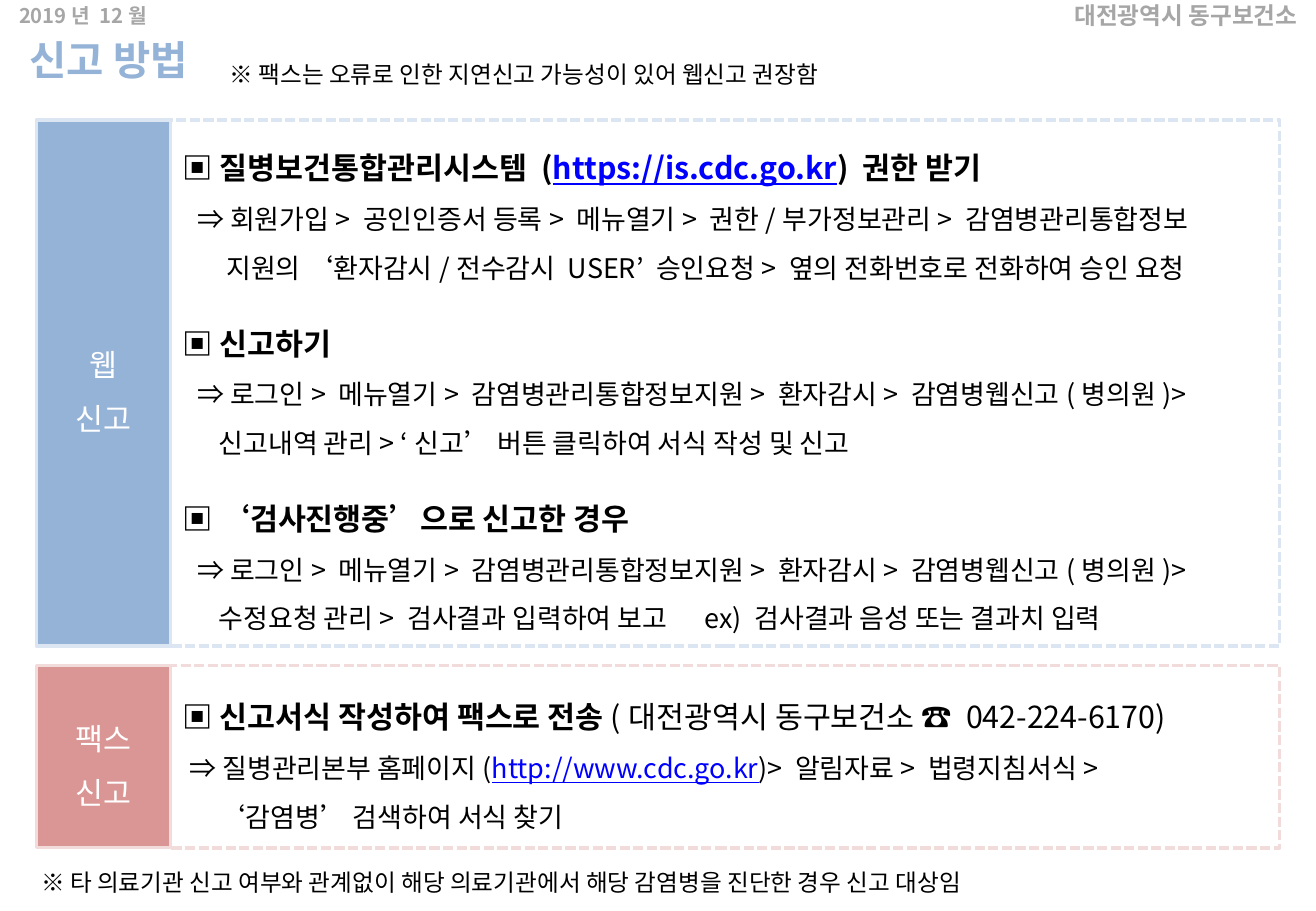
from lxml.etree import SubElement
from pptx import Presentation
from pptx.dml.color import RGBColor
from pptx.enum.dml import MSO_LINE
from pptx.enum.shapes import MSO_SHAPE
from pptx.enum.text import MSO_ANCHOR, MSO_AUTO_SIZE, PP_ALIGN
from pptx.oxml.ns import qn
from pptx.util import Cm, Pt

FONT = "Noto Sans CJK KR"
BLACK, GRAY, WHITE, LINK = "000000", "A6A6A6", "FFFFFF", "0000FF"
BLUE, PALE_BLUE, RED, PALE_RED = "95B3D7", "DCE6F2", "D99694", "F2DCDB"

LOGIN = "⇒ 로그인> 메뉴열기> 감염병관리통합정보지원> 환자감시> 감염병웹신고(병의원)>"
WEB_LINES = [
    ("head", 0, [("▣ 질병보건통합관리시스템 (", ""), ("https://is.cdc.go.kr", "link"),
                 (") 권한 받기", "")]),
    ("step", 0.31, [("⇒ 회원가입> 공인인증서 등록> 메뉴열기> 권한/부가정보관리> "
                     "감염병관리통합정보", "")]),
    ("step", 0.92, [("지원의 ‘환자감시/전수감시 USER’ 승인요청> "
                     "옆의 전화번호로 전화하여 승인 요청", "")]),
    ("head", 0, [("▣ 신고하기", "")]),
    ("step", 0.31, [(LOGIN, "")]),
    ("step", 0.76, [("신고내역 관리> ‘신고’ 버튼 클릭하여 서식 작성 및 신고", "")]),
    ("head", 0, [("▣ ‘검사진행중’으로 신고한 경우", "")]),
    ("step", 0.31, [(LOGIN, "")]),
    ("step", 0.76, [("수정요청 관리> 검사결과 입력하여 보고\tex) 검사결과 음성 또는 결과치 입력", "")]),
]
FAX_LINES = [
    ("head", 0, [("▣ 신고서식 작성하여 팩스로 전송", ""),
                 ("(대전광역시 동구보건소 ☎ 042-224-6170)", "plain")]),
    ("step", 0.15, [("⇒ 질병관리본부 홈페이지(", ""), ("http://www.cdc.go.kr", "link"),
                    (")> 알림자료> 법령지침서식>", "")]),
    ("step", 0.76, [("‘감염병’ 검색하여 서식 찾기", "")]),
]


def color(value):
    """Turn a hex string into a colour."""
    return RGBColor.from_string(value)


def place(shape, box):
    """Move a shape to a box of left, top, width and height in centimetres."""
    shape.left, shape.top, shape.width, shape.height = [Cm(length) for length in box]


def format_para(para, size, hex_color, bold=False, align=PP_ALIGN.LEFT, pitch=None):
    """Format a whole paragraph."""
    para.alignment = align
    para.space_before = para.space_after = Pt(0)
    if pitch:
        para.line_spacing = Pt(pitch)
    font = para.font
    font.name, font.size, font.bold = FONT, Pt(size), bold
    font.color.rgb = color(hex_color)
    SubElement(font._element, qn("a:ea"), typeface=FONT)


def set_frame(shape, anchor):
    """Wrap the text of a shape at a fixed size and return its frame."""
    frame = shape.text_frame
    frame.word_wrap = True
    frame.auto_size = MSO_AUTO_SIZE.NONE
    frame.vertical_anchor = anchor
    return frame


def outline(shape, fill, line):
    """Give a shape its fill and its border."""
    shape.fill.solid()
    shape.fill.fore_color.rgb = color(fill)
    shape.line.color.rgb = color(line)
    shape.line.width = Pt(2)


def add_caption(page, box, text, size, hex_color, anchor=MSO_ANCHOR.MIDDLE, **style):
    """Add one line of free text."""
    shape = page.shapes.add_textbox(*[Cm(length) for length in box])
    para = set_frame(shape, anchor).paragraphs[0]
    para.text = text
    format_para(para, size, hex_color, **style)


def add_title(page, box, text):
    """Fill the title placeholder."""
    title = page.shapes.title
    place(title, box)
    para = set_frame(title, MSO_ANCHOR.MIDDLE).paragraphs[0]
    para.text = text
    format_para(para, 24, BLUE, bold=True)


def add_label(page, box, words, fill, line):
    """Add the coloured label at the left of a panel."""
    label = page.shapes.add_shape(MSO_SHAPE.RECTANGLE, *[Cm(length) for length in box])
    label.shadow.inherit = False
    outline(label, fill, line)
    frame = set_frame(label, MSO_ANCHOR.MIDDLE)
    frame.text = "\n".join(words)
    for para in frame.paragraphs:
        format_para(para, 18, WHITE, align=PP_ALIGN.CENTER, pitch=32)


def fill_line(para, kind, indent, spans, first):
    """Write a heading or a step of a panel."""
    properties = para._p.get_or_add_pPr()
    properties.set("marL", str(Cm(indent)))
    properties.set("indent", "0")
    SubElement(properties, qn("a:buNone"))
    if any("\t" in text for text, _ in spans):
        tabs = SubElement(properties, qn("a:tabLst"))
        SubElement(tabs, qn("a:tab"), pos=str(Cm(11.1)), algn="l")
    heading = kind == "head"
    format_para(para, 18 if heading else 16, BLACK, heading, pitch=32 if heading else 29)
    if heading and not first:
        para.space_before = Pt(14)
    for text, style in spans:
        span = para.add_run()
        span.text = text
        if style == "link":
            span.font.underline = True
            span.font.color.rgb = color(LINK)
        elif style == "plain":
            span.font.bold = False


def add_panel(page, body, box, words, lines, fill, line):
    """Place a label and a dashed body side by side in a box."""
    left, top, width, height = box
    label_width = 2.8
    place(body, (left + label_width, top, width - label_width, height))
    outline(body, WHITE, line)
    body.line.dash_style = MSO_LINE.SQUARE_DOT
    frame = set_frame(body, MSO_ANCHOR.MIDDLE)
    for index, (kind, indent, spans) in enumerate(lines):
        para = frame.add_paragraph() if index else frame.paragraphs[0]
        fill_line(para, kind, indent, spans, index == 0)
    add_label(page, (left, top, label_width, height), words, fill, line)


def add_header(page, box):
    """Add the date and the office at the two ends of the header."""
    left, top, width, height = box
    part = 7
    add_caption(page, (left, top, part, height), "2019년 12월", 12, GRAY, bold=True)
    add_caption(page, (left + width - part, top, part, height), "대전광역시 동구보건소",
                14, GRAY, bold=True, align=PP_ALIGN.RIGHT)


def main():
    """Build the reporting guide."""
    deck = Presentation()
    deck.slide_width, deck.slide_height = Cm(27.51), Cm(19.05)
    page = deck.slides.add_slide(deck.slide_layouts[3])
    web_body, fax_body = page.placeholders[1], page.placeholders[2]
    add_title(page, (0.36, 0.33, 23.4, 1.8), "신고 방법")
    add_panel(page, web_body, (0.76, 2.51, 25.99, 11), ("웹", "신고"), WEB_LINES,
              BLUE, PALE_BLUE)
    add_panel(page, fax_body, (0.76, 13.92, 25.99, 3.81), ("팩스", "신고"), FAX_LINES,
              RED, PALE_RED)
    add_header(page, (0.15, -0.28, 27.23, 1.19))
    add_caption(page, (4.55, 1.12, 21.2, 0.86),
                "※ 팩스는 오류로 인한 지연신고 가능성이 있어 웹신고 권장함",
                14, BLACK, MSO_ANCHOR.TOP, pitch=17)
    add_caption(page, (0.61, 17.73, 26.77, 1.02),
                "※ 타 의료기관 신고 여부와 관계없이 해당 의료기관에서 해당 감염병을 진단한 경우 신고 대상임",
                14, BLACK, MSO_ANCHOR.TOP, pitch=25)
    deck.save("out.pptx")


if __name__ == "__main__":
    main()
